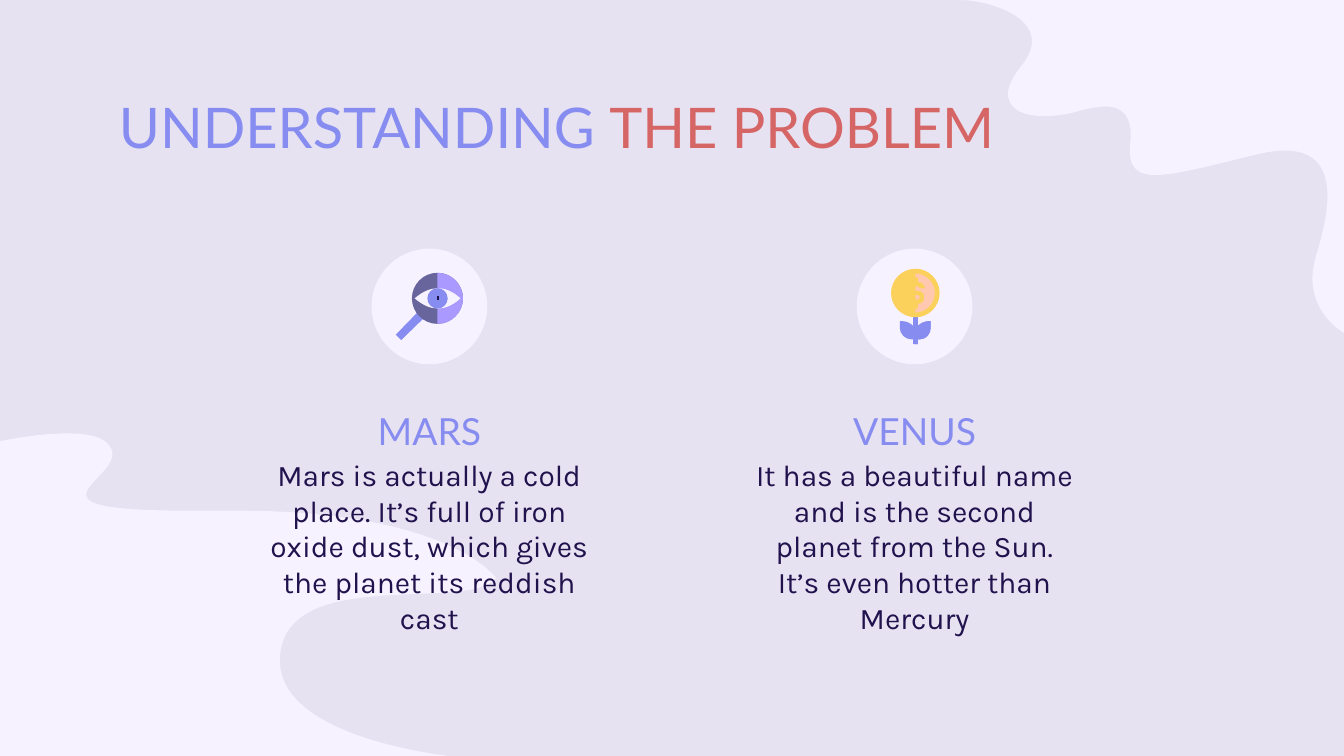
from collections import namedtuple

from lxml.etree import SubElement
from pptx import Presentation
from pptx.dml.color import RGBColor
from pptx.enum.shapes import MSO_SHAPE as Preset
from pptx.enum.text import MSO_ANCHOR as Anchor, MSO_AUTO_SIZE as AutoSize, PP_ALIGN as Align
from pptx.oxml.ns import qn
from pptx.util import Inches, Pt

LILAC = RGBColor(0xE7, 0xE2, 0xF2)
PALE = RGBColor(0xF6, 0xF2, 0xFF)
PERIWINKLE = RGBColor(0x87, 0x8C, 0xF0)
CORAL = RGBColor(0xD6, 0x65, 0x65)
NAVY = RGBColor(0x20, 0x12, 0x4D)
GOLD = RGBColor(0xFB, 0xD1, 0x5B)
PEACH = RGBColor(0xFF, 0xC8, 0xAF)
SLATE = RGBColor(0x67, 0x65, 0x9C)
VIOLET = RGBColor(0xAA, 0x99, 0xFF)

WIDTH, HEIGHT = 20, 11.25
PADDING = 0.2
BADGE = 1.72
BADGE_UNITS = 172
ARC = 0.55

Box = namedtuple("Box", "left top width height")

TOP_RIGHT_WAVE = [
    (19.59, 3.79),
    (19.77, 3.19, 20.08, 1.98, 18.74, 2.29),
    (17.38, 2.61, 16.74, 2.86, 16.82, 2.13),
    (16.89, 1.44, 16.38, 1.56, 15.99, 1.67),
    (15.68, 1.75, 15.14, 1.79, 15.02, 1.5),
    (14.97, 1.38, 15.01, 1.22, 15.2, 0.98),
    (15.74, 0.32, 14.76, 0, 14.28, 0),
    (20.01, 0), (20.01, 4.96),
    (20.01, 4.96, 19.33, 4.6, 19.59, 3.79),
]
BOTTOM_LEFT_WAVE = [
    (0.99, 6.45),
    (1.31, 6.45, 1.59, 6.5, 1.66, 6.69),
    (1.83, 7.14, 0.12, 7.6, 2.82, 7.6),
    (2.97, 7.6, 3.12, 7.6, 3.29, 7.6),
    (3.37, 7.6, 3.45, 7.6, 3.53, 7.6),
    (6.69, 7.6, 7.38, 8.6, 7.38, 8.6),
    (7, 9.12, 4.31, 8.41, 4.17, 9.73),
    (4.02, 11.05, 6.94, 11.28, 6.94, 11.28),
    (-0.07, 11.28), (-0.07, 6.58),
    (-0.07, 6.58, 0.5, 6.45, 0.99, 6.45),
]
RIGHT_LEAF = [
    (91, 135), (94, 135), (103, 135, 110, 127, 110, 118), (110, 108), (107, 108),
    (101, 108, 95, 111, 91, 115), (91, 99),
]
LEAVES = [
    (84, 99), (84, 115), (80, 111, 74, 108, 68, 108), (64, 108), (64, 118),
    (64, 127, 72, 135, 81, 135), (84, 135), (84, 142), (91, 142), *RIGHT_LEAF,
]
DOLLAR_TOP = [(91, 56), (92, 56, 94, 58, 94, 59), (101, 59), (101, 54, 96, 50, 91, 50), (91, 43)]
DOLLAR_FOOT = [(91, 89), (91, 82), (96, 82, 100, 78, 100, 73), (100, 67, 96, 63, 91, 63)]
DOLLAR = [
    (84, 43), (84, 50), (79, 50, 75, 54, 75, 59), (75, 65, 79, 69, 84, 69),
    (91, 69), (95, 69, 95, 76, 91, 76), (84, 76), (82, 76, 81, 74, 81, 73),
    (74, 73), (74, 78, 79, 82, 84, 82), (84, 89), *DOLLAR_FOOT, (84, 63),
    (80, 63, 80, 56, 84, 56), *DOLLAR_TOP,
]
HANDLE = [(69, 94), (36, 128), (44, 136), (78, 103), (75, 100, 72, 97, 69, 94)]
RIGHT_EYE = [(98, 59), (108, 59, 120, 63, 132, 74), (120, 85, 108, 89, 98, 89)]
EYE = [*RIGHT_EYE, (88, 89, 77, 85, 64, 74), (77, 63, 88, 59, 98, 59)]


def right_half(x, y, r):
    k = r * ARC
    return [(x, y - r), (x + k, y - r, x + r, y - k, x + r, y),
            (x + r, y + k, x + k, y + r, x, y + r)]


def disc(x, y, r):
    k = r * ARC
    return [*right_half(x, y, r), (x - k, y + r, x - r, y + k, x - r, y),
            (x - r, y - k, x - k, y - r, x, y - r)]


def block(x, y, width, height):
    return [(x, y), (x, y + height), (x + width, y + height), (x + width, y)]


MAGNIFIER = [
    (HANDLE, PERIWINKLE),
    (disc(98, 74, 38), SLATE),
    (right_half(98, 74, 38), VIOLET),
    (EYE, PALE),
    (RIGHT_EYE, PALE),
    (disc(98, 74, 15), PERIWINKLE),
    (right_half(98, 74, 15), PERIWINKLE),
    (block(95, 71, 6, 6), PERIWINKLE),
    (block(98, 71, 3, 6), NAVY),
]
MONEY_FLOWER = [
    (LEAVES, PERIWINKLE),
    ([(87, 99), (87, 142), (91, 142), *RIGHT_LEAF], PERIWINKLE),
    (disc(87, 66, 36), GOLD),
    (right_half(87, 66, 36), GOLD),
    (disc(87, 66, 29), GOLD),
    (right_half(87, 66, 29), PEACH),
    (DOLLAR, GOLD),
    ([(87, 63), (87, 69), (91, 69), (95, 69, 95, 76, 91, 76), (87, 76), (87, 89),
      *DOLLAR_FOOT], GOLD),
    ([(87, 43), (87, 56), *DOLLAR_TOP], GOLD),
]


def paint(shape, color):
    shape.shadow.inherit = False
    shape.fill.solid()
    shape.fill.fore_color.rgb = color
    shape.line.fill.background()
    return shape


def bend(shape, segments):
    corners = iter(list(shape.element.iter(qn("a:lnTo"))))
    for segment in segments:
        lines = [next(corners) for _ in range(len(segment) // 2)]
        if len(lines) == 1:
            continue
        outline = lines[0].getparent()
        curve = SubElement(outline, qn("a:cubicBezTo"))
        lines[0].addprevious(curve)
        for line in lines:
            curve.append(line[0])
            outline.remove(line)


def draw_outline(shapes, outline, color, left=0, top=0, unit=1):
    points = [(Inches(left + segment[i] * unit), Inches(top + segment[i + 1] * unit))
              for segment in outline for i in range(0, len(segment), 2)]
    builder = shapes.build_freeform(*points[0], scale=1.0)
    builder.add_line_segments(points[1:], close=False)
    shape = builder.convert_to_shape()
    bend(shape, outline[1:])
    outline_element = next(shape.element.iter(qn("a:path")))
    SubElement(outline_element, qn("a:close"))
    return paint(shape, color)


def write(frame, runs, size, font, align=Align.LEFT, anchor=Anchor.TOP):
    frame.word_wrap = True
    frame.auto_size = AutoSize.NONE
    frame.vertical_anchor = anchor
    frame.margin_left = frame.margin_right = Inches(PADDING)
    frame.margin_top = frame.margin_bottom = Inches(PADDING)
    paragraph = frame.paragraphs[0]
    paragraph.alignment = align
    for words, color in runs:
        run = paragraph.add_run()
        run.text = words
        run.font.size = Pt(size)
        run.font.name = font
        run.font.color.rgb = color


def add_text(slide, box, words, color, **style):
    frame = slide.shapes.add_textbox(*map(Inches, box)).text_frame
    write(frame, [(words, color)], align=Align.CENTER, **style)


def add_waves(slide):
    for wave in (TOP_RIGHT_WAVE, BOTTOM_LEFT_WAVE):
        shape = draw_outline(slide.shapes, wave, PALE)
        slide.shapes.title.element.addprevious(shape.element)


def add_title(slide, box):
    title = slide.shapes.title
    title.left, title.top, title.width, title.height = map(Inches, box)
    write(title.text_frame, [("UNDERSTANDING ", PERIWINKLE), ("THE PROBLEM", CORAL)],
          size=60, font="Lato")


def add_badge(slide, box, icon):
    paint(slide.shapes.add_shape(Preset.OVAL, *map(Inches, box)), PALE)
    group = slide.shapes.add_group_shape()
    for outline, color in icon:
        draw_outline(group.shapes, outline, color, box.left, box.top, box.width / BADGE_UNITS)


def add_planet(slide, box, name, description, icon):
    heading = Box(box.left, box.top + 2.35, box.width, 0.72)
    body = Box(box.left, box.top + 2.89, box.width, box.height - 2.89)
    add_text(slide, heading, name, PERIWINKLE, size=40, font="Lato", anchor=Anchor.MIDDLE)
    add_text(slide, body, description, NAVY, size=32, font="Karla")
    add_badge(slide, Box(box.left + (box.width - BADGE) / 2, box.top, BADGE, BADGE), icon)


def main():
    deck = Presentation()
    deck.slide_width, deck.slide_height = Inches(WIDTH), Inches(HEIGHT)
    slide = deck.slides.add_slide(deck.slide_layouts[5])
    slide.background.fill.solid()
    slide.background.fill.fore_color.rgb = LILAC
    add_waves(slide)
    add_title(slide, Box(1.57, 1.18, 16.85, 1.25))
    planets = [
        ("MARS", "Mars is actually a cold place. It’s full of iron oxide dust, "
                 "which gives the planet its reddish cast", MAGNIFIER),
        ("VENUS", "It has a beautiful name and is the second planet from the Sun. "
                  "It’s even hotter than Mercury", MONEY_FLOWER),
    ]
    for column, planet in enumerate(planets):
        add_planet(slide, Box(3.77 + column * 7.22, 3.7, 5.24, 5.31), *planet)
    deck.save("out.pptx")


if __name__ == "__main__":
    main()
